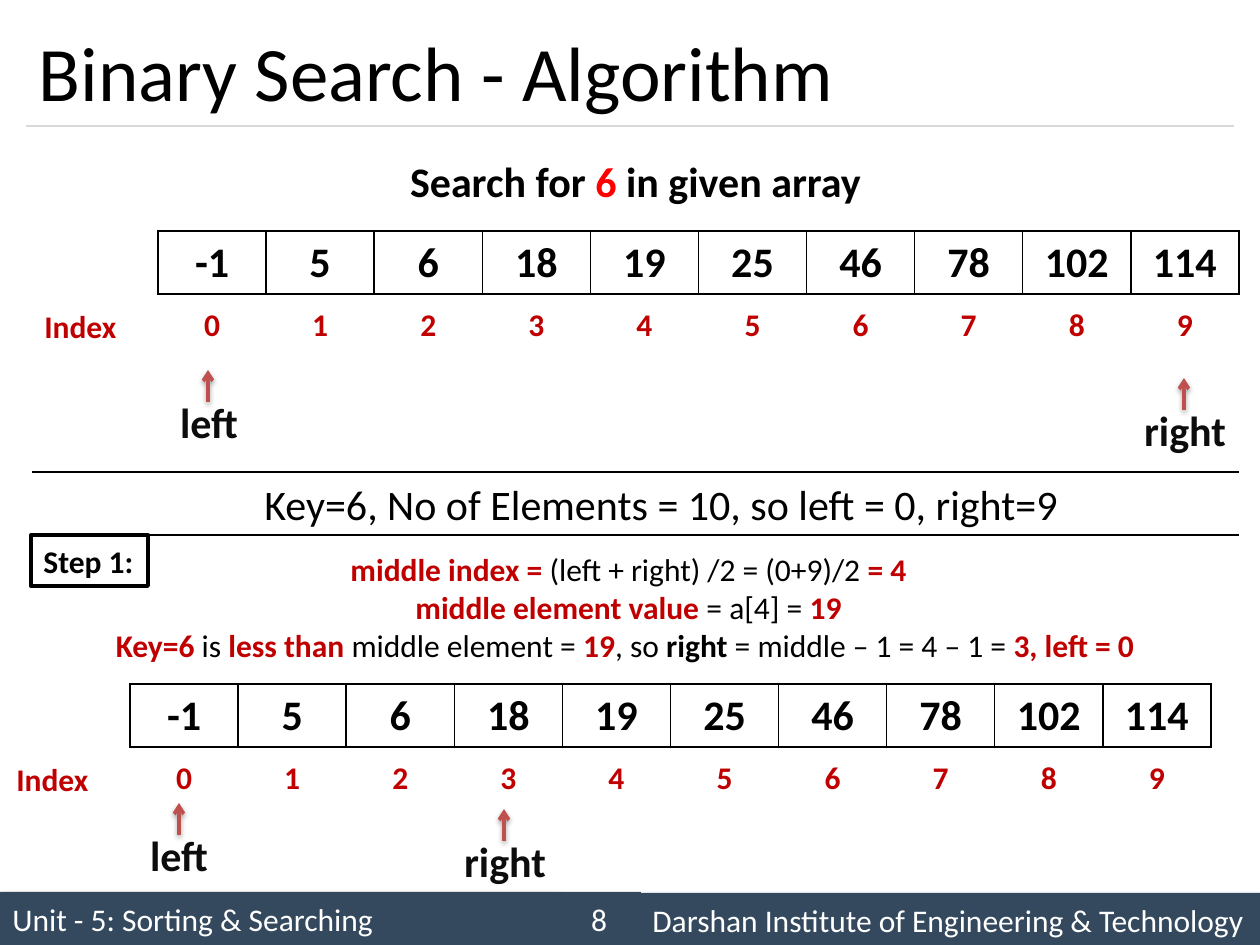
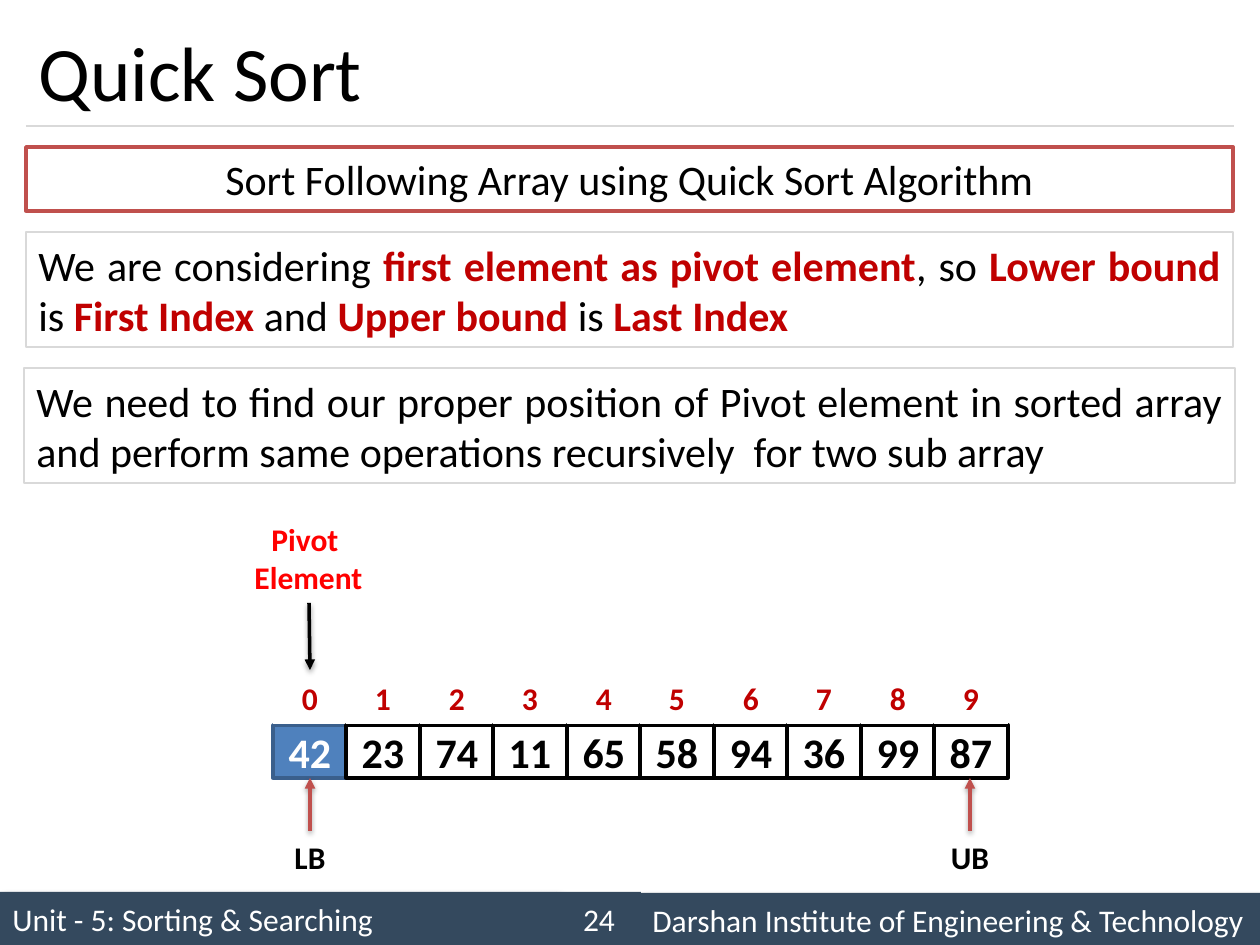
"""Build two lecture slides on binary search and quick sort."""
import lxml.etree
import pptx
import pptx.dml.color
import pptx.enum.shapes
import pptx.enum.text
import pptx.oxml.ns
import pptx.util

COLOURS = {
    "black": "000000", "white": "FFFFFF", "ink": "0D0D0D", "slate": "34495E",
    "grey": "D9D9D9", "crimson": "C00000", "red": "FF0000", "brick": "C0504D",
    "blue": "4F81BD", "navy": "3A5F8C",
}
FONT = "Calibri"
PIXEL = 914400 / 126
STYLES = {
    "plain": ("black", False), "bold": ("black", True), "key": ("crimson", True),
    "alert": ("red", True), "label": ("ink", True), "light": ("white", False),
    "pivot": ("white", True),
}
ALIGN = pptx.enum.text.PP_ALIGN
MIDDLE = pptx.enum.text.MSO_ANCHOR.MIDDLE
ARROW_SHADOW = (3.1, 1.6, 90, 38)
FOOTER_SHADOW = (4, 3, 45, 40)

UNIT = "Unit - 5: Sorting & Searching"
INSTITUTE = "Darshan Institute of Engineering & Technology"

SEARCH_VALUES = ["-1", "5", "6", "18", "19", "25", "46", "78", "102", "114"]
SORT_VALUES = ["42", "23", "74", "11", "65", "58", "94", "36", "99", "87"]
INDEXES = [str(number) for number in range(10)]

SEARCH_TASK = [[("Search for ", "bold"), ("6", "alert"), (" in given array", "bold")]]
SEARCH_START = [[("Key=6, No of Elements = 10, so left = 0, right=9", "plain")]]
STEP_NAME = [[("Step 1:", "bold")]]
STEP_LINES = [
    [("middle index =", "key"), (" (left + right) /2 = (0+9)/2 ", "plain"), ("= 4", "key")],
    [("middle element value ", "key"), ("= a[4] = ", "plain"), ("19", "key")],
    [("Key=6", "key"), (" is ", "plain"), ("less than ", "key"),
     ("middle element = ", "plain"), ("19", "key"), (", so ", "plain"), ("right", "bold"),
     (" = middle – 1 = 4 – 1 = ", "plain"), ("3, left = 0 ", "key")],
]
SEARCH_ARRAYS = [(158, 231), (130, 684)]
SEARCH_POINTERS = [
    ("left", 208, 370, 166, 86), ("right", 1184, 378, 1131, 108),
    ("left", 179, 803, 136, 86), ("right", 504, 809, 451, 108),
]

SORT_TASK = [[("Sort Following Array using Quick Sort Algorithm", "plain")]]
SORT_BOUNDS = [[
    ("We are considering ", "plain"), ("first element as pivot element", "key"),
    (", so ", "plain"), ("Lower bound ", "key"), ("is ", "plain"), ("First Index ", "key"),
    ("and ", "plain"), ("Upper bound ", "key"), ("is ", "plain"), ("Last Index", "key"),
]]
SORT_GOAL = [[("We need to find our proper position of Pivot element in sorted array "
               "and perform same operations recursively  for two sub array", "plain")]]
SORT_NOTES = [
    (SORT_TASK, (26, 147, 1207, 64), "brick", 2, ALIGN.CENTER),
    (SORT_BOUNDS, (26, 232, 1207, 115), "grey", 0.75, ALIGN.JUSTIFY),
    (SORT_GOAL, (24, 368, 1211, 115), "grey", 0.75, ALIGN.JUSTIFY),
]
PIVOT_NAME = [[("Pivot ", "alert")], [("Element", "alert")]]
SORT_BOUND_MARKS = [("LB", 310), ("UB", 970)]


def px(*lengths):
    """Turn pixel lengths into EMU."""
    return [round(length * PIXEL) for length in lengths]


def colour(name):
    """Look up a named colour."""
    return pptx.dml.color.RGBColor.from_string(COLOURS[name])


def add_child(parent, tag, **attributes):
    """Append a DrawingML element."""
    name = pptx.oxml.ns.qn("a:" + tag)
    return lxml.etree.SubElement(parent, name, {key: str(value) for key, value in attributes.items()})


def write(frame, paragraphs, size, align=ALIGN.LEFT):
    """Fill a text frame with paragraphs of (text, style) spans."""
    for position, spans in enumerate(paragraphs):
        para = frame.add_paragraph() if position else frame.paragraphs[0]
        para.alignment = align
        for text, style in spans:
            span = para.add_run()
            span.text = text
            name, bold = STYLES[style]
            span.font.name, span.font.size = FONT, pptx.util.Pt(size)
            span.font.bold, span.font.color.rgb = bold, colour(name)


def cast_shadow(effects, blur, distance, angle, opacity):
    """Add a black outer shadow to an effect list."""
    shadow = add_child(effects, "outerShdw", blurRad=round(blur * 12700),
                       dist=round(distance * 12700), dir=angle * 60000, rotWithShape=0)
    add_child(add_child(shadow, "srgbClr", val=COLOURS["black"]), "alpha", val=opacity * 1000)


def add_text(page, paragraphs, place, size, align=ALIGN.CENTER, wrap=False):
    """Add a text box."""
    frame = page.shapes.add_textbox(*px(*place)).text_frame
    frame.word_wrap = wrap
    write(frame, paragraphs, size, align)


def add_box(page, paragraphs, place, size, align=ALIGN.CENTER, fill=None, line=None,
            weight=2, shadow=None, wrap=True):
    """Add a rectangle with text."""
    box = page.shapes.add_shape(pptx.enum.shapes.MSO_SHAPE.RECTANGLE, *px(*place))
    if fill:
        box.fill.solid()
        box.fill.fore_color.rgb = colour(fill)
    else:
        box.fill.background()
    if line:
        box.line.color.rgb = colour(line)
        box.line.width = pptx.util.Pt(weight)
    else:
        box.line.fill.background()
    box.shadow.inherit = False
    if shadow:
        cast_shadow(box.element.spPr.find(pptx.oxml.ns.qn("a:effectLst")), *shadow)
    box.text_frame.word_wrap = wrap
    box.text_frame.vertical_anchor = MIDDLE
    write(box.text_frame, paragraphs, size, align)


def add_line(page, ends, name="black", weight=0.75, arrowhead=None):
    """Add a plain rule, or a shadowed arrow when an arrowhead is named."""
    line = page.shapes.add_connector(pptx.enum.shapes.MSO_CONNECTOR.STRAIGHT, *px(*ends))
    line.line.color.rgb = colour(name)
    line.line.width = pptx.util.Pt(weight)
    effects = add_child(line.element.spPr, "effectLst")
    if arrowhead:
        add_child(line.line._get_or_add_ln(), "tailEnd", type=arrowhead)
        cast_shadow(effects, *ARROW_SHADOW)


def add_row(page, values, left, top, height, size, style, bordered=False):
    """Add a one-row table of ten equal cells."""
    table = page.shapes.add_table(1, len(values), *px(left, top, 1081, height)).table
    table.first_row = table.horz_banding = False
    for cell, value in zip(table.rows[0].cells, values):
        write(cell.text_frame, [[(value, style)]], size, ALIGN.CENTER)
        properties = cell._tc.get_or_add_tcPr()
        for side in ("lnL", "lnR", "lnT", "lnB"):
            border = add_child(properties, side, w=12700)
            if bordered:
                add_child(add_child(border, "solidFill"), "srgbClr", val=COLOURS["black"])
            else:
                add_child(border, "noFill")
        cell.fill.background()


def add_page(deck, title, number):
    """Add a slide with the shared title, rule and footer."""
    page = deck.slides.add_slide(deck.slide_layouts[5])
    add_box(page, [[(UNIT, "light")]], (0, 892, 557, 53), 18, ALIGN.LEFT, "slate",
            shadow=FOOTER_SHADOW)
    add_line(page, (26, 126, 1234, 126), "grey")
    add_box(page, [[(INSTITUTE, "light")]], (640, 893, 620, 53), 18, ALIGN.LEFT, "slate",
            shadow=FOOTER_SHADOW)
    add_box(page, [[(str(number), "light")]], (557, 892, 84, 53), 18, fill="slate")
    heading = page.shapes.title
    heading.left, heading.top, heading.width, heading.height = px(26, 15, 1207, 111)
    heading.text_frame.vertical_anchor = MIDDLE
    write(heading.text_frame, [[(title, "plain")]], 44)
    return page


def build_search(deck):
    """Build the binary search slide."""
    page = add_page(deck, "Binary Search - Algorithm", 8)
    add_text(page, SEARCH_TASK, (32, 149, 1207, 63), 24, wrap=True)
    for left, top in SEARCH_ARRAYS:
        add_row(page, SEARCH_VALUES, left, top, 63, 24, "bold", bordered=True)
        add_row(page, INDEXES, left, top + 69, 52, 18, "key")
        add_text(page, [[("Index", "key")]], (left - 126, top + 70, 98, 50), 18, ALIGN.LEFT)
    for height in (472, 535):
        add_line(page, (32, height, 1239, height))
    add_text(page, SEARCH_START, (252, 472, 827, 63), 24, ALIGN.LEFT)
    add_text(page, STEP_LINES, (100, 544, 1057, 127), 18)
    for name, center, tip, left, width in SEARCH_POINTERS:
        add_text(page, [[(name, "label")]], (left, tip + 20, width, 63), 24)
        add_line(page, (center, tip + 32, center, tip), "brick", 2, "arrow")
    add_box(page, STEP_NAME, (31, 535, 117, 51), 18, ALIGN.LEFT, line="black",
            weight=2.25, wrap=False)


def build_sort(deck):
    """Build the quick sort slide."""
    page = add_page(deck, "Quick Sort", 24)
    for position, (value, index) in enumerate(zip(SORT_VALUES, INDEXES)):
        left = 273 + 735 * position // 10
        style, fill, line = ("bold", "white", "black") if position else ("pivot", "blue", "navy")
        add_box(page, [[(value, style)]], (left, 725, 74, 53), 24, fill=fill, line=line)
        add_box(page, [[(index, "key")]], (left, 671, 74, 53), 18, fill="white")
    for name, center in SORT_BOUND_MARKS:
        add_text(page, [[(name, "bold")]], (center - 32, 832, 64, 50), 18)
        add_line(page, (center, 831, center, 778), "brick", 2, "triangle")
    add_text(page, PIVOT_NAME, (242, 514, 133, 89), 18)
    add_line(page, (309, 603, 310, 670), "black", 2, "triangle")
    for paragraphs, place, line, weight, align in SORT_NOTES:
        add_box(page, paragraphs, place, 24, align, line=line, weight=weight)


def main():
    """Build and save the deck."""
    deck = pptx.Presentation()
    deck.slide_width, deck.slide_height = px(1260, 945)
    build_search(deck)
    build_sort(deck)
    deck.save("out.pptx")


if __name__ == "__main__":
    main()
